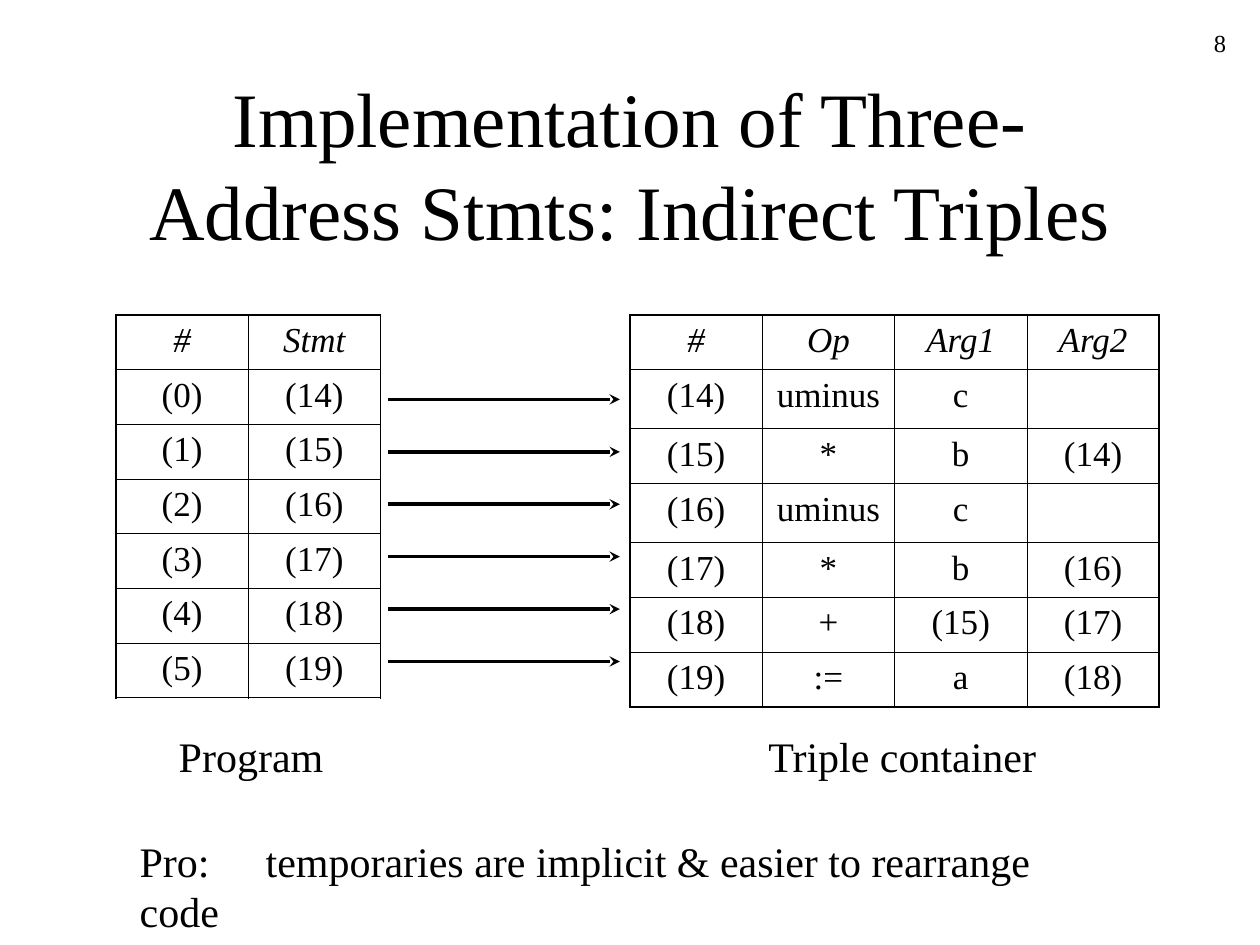
from lxml import etree
from pptx import Presentation
from pptx.dml.color import RGBColor
from pptx.enum.shapes import MSO_CONNECTOR
from pptx.enum.text import MSO_ANCHOR, MSO_AUTO_SIZE, PP_ALIGN
from pptx.oxml.ns import qn
from pptx.util import Inches, Pt

LEFT, CENTER, RIGHT = PP_ALIGN.LEFT, PP_ALIGN.CENTER, PP_ALIGN.RIGHT
MIDDLE = MSO_ANCHOR.MIDDLE
NO_AUTOFIT = MSO_AUTO_SIZE.NONE
STRAIGHT = MSO_CONNECTOR.STRAIGHT

FONT = "Times New Roman"
BLACK = "000000"
TITLE_ONLY = 5
COLUMN_WIDTH = 1.05
ROW_HEIGHT, TALL_ROW_HEIGHT = 0.433, 0.47
INNER_BORDER, OUTER_BORDER = 0.45, 1.08

PROGRAM = [["#", "Stmt"]] + [[f"({i})", f"({i + 14})"] for i in range(6)]
TRIPLES = [
    ["#", "Op", "Arg1", "Arg2"],
    ["(14)", "uminus", "c", ""],
    ["(15)", "*", "b", "(14)"],
    ["(16)", "uminus", "c", ""],
    ["(17)", "*", "b", "(16)"],
    ["(18)", "+", "(15)", "(17)"],
    ["(19)", ":=", "a", "(18)"],
]


def color(hex_code):
    return RGBColor.from_string(hex_code)


def write(paragraph, text, size, align=LEFT, italic=False):
    paragraph.alignment = align
    run = paragraph.add_run()
    run.text = text
    run.font.name = FONT
    run.font.size = Pt(size)
    run.font.italic = italic
    run.font.color.rgb = color(BLACK)


def add_title(slide, text, left, top, width, height):
    title = slide.shapes.title
    title.left, title.top = Inches(left), Inches(top)
    title.width, title.height = Inches(width), Inches(height)
    frame = title.text_frame
    frame.auto_size = NO_AUTOFIT
    frame.vertical_anchor = MIDDLE
    write(frame.paragraphs[0], text, 44, CENTER)


def add_label(slide, text, left, top, width, height, size=24, align=LEFT, wrap=False):
    box = slide.shapes.add_textbox(Inches(left), Inches(top), Inches(width), Inches(height))
    box.text_frame.word_wrap = wrap
    write(box.text_frame.paragraphs[0], text, size, align)


def set_borders(cell, widths):
    """Widths in points, ordered left, right, top, bottom."""
    properties = cell._tc.get_or_add_tcPr()
    for index, (side, width) in enumerate(zip("LRTB", widths)):
        line = etree.Element(qn(f"a:ln{side}"), w=str(Pt(width)))
        fill = etree.SubElement(line, qn("a:solidFill"))
        etree.SubElement(fill, qn("a:srgbClr"), val=BLACK)
        properties.insert(index, line)


def add_grid(slide, rows, left, top):
    last_row, last_column = len(rows) - 1, len(rows[0]) - 1
    # Rows with an empty cell are slightly taller
    heights = [ROW_HEIGHT if all(row) else TALL_ROW_HEIGHT for row in rows]
    table = slide.shapes.add_table(
        len(rows), len(rows[0]), Inches(left), Inches(top),
        Inches(COLUMN_WIDTH * len(rows[0])), Inches(sum(heights))).table
    table.first_row = table.horz_banding = False
    for column in table.columns:
        column.width = Inches(COLUMN_WIDTH)
    for r, values in enumerate(rows):
        table.rows[r].height = Inches(heights[r])
        for c, value in enumerate(values):
            cell = table.cell(r, c)
            cell.fill.background()
            edges = (c == 0, c == last_column, r == 0, r == last_row)
            set_borders(cell, [OUTER_BORDER if edge else INNER_BORDER for edge in edges])
            if value:
                write(cell.text_frame.paragraphs[0], value, 20, CENTER, italic=r == 0)


def add_arrows(slide, left, top, width, height, count):
    for i in range(count):
        y = Inches(top + height * i / (count - 1))
        arrow = slide.shapes.add_connector(STRAIGHT, Inches(left), y, Inches(left + width), y)
        arrow.line.width = Pt(2)
        arrow.line.color.rgb = color(BLACK)
        etree.SubElement(arrow.line._get_or_add_ln(), qn("a:tailEnd"), type="stealth")
        etree.SubElement(arrow._element.spPr, qn("a:effectLst"))


def main():
    presentation = Presentation()
    presentation.slide_width, presentation.slide_height = Inches(10), Inches(7.5)
    slide = presentation.slides.add_slide(presentation.slide_layouts[TITLE_ONLY])

    # Page number and title
    add_label(slide, "8", 7.75, 0.17, 2.08, 0.5, size=14, align=RIGHT, wrap=True)
    add_title(slide, "Implementation of Three-Address Stmts: Indirect Triples",
              0.75, 0.67, 8.5, 1.25)

    # Triple container, program and the pointers between them
    add_grid(slide, TRIPLES, 5, 2.5)
    add_label(slide, "Triple container", 6, 5.75, 2.34, 0.5)
    add_grid(slide, PROGRAM, 0.92, 2.5)
    add_label(slide, "Program", 1.32, 5.75, 1.35, 0.5)
    add_arrows(slide, 3.08, 3.17, 1.84, 2.08, len(PROGRAM) - 1)

    # Advantage
    add_label(slide, "Pro:\ttemporaries are implicit & easier to rearrange code",
              1.01, 6.58, 7.98, 0.5)

    presentation.save("out.pptx")


if __name__ == "__main__":
    main()
